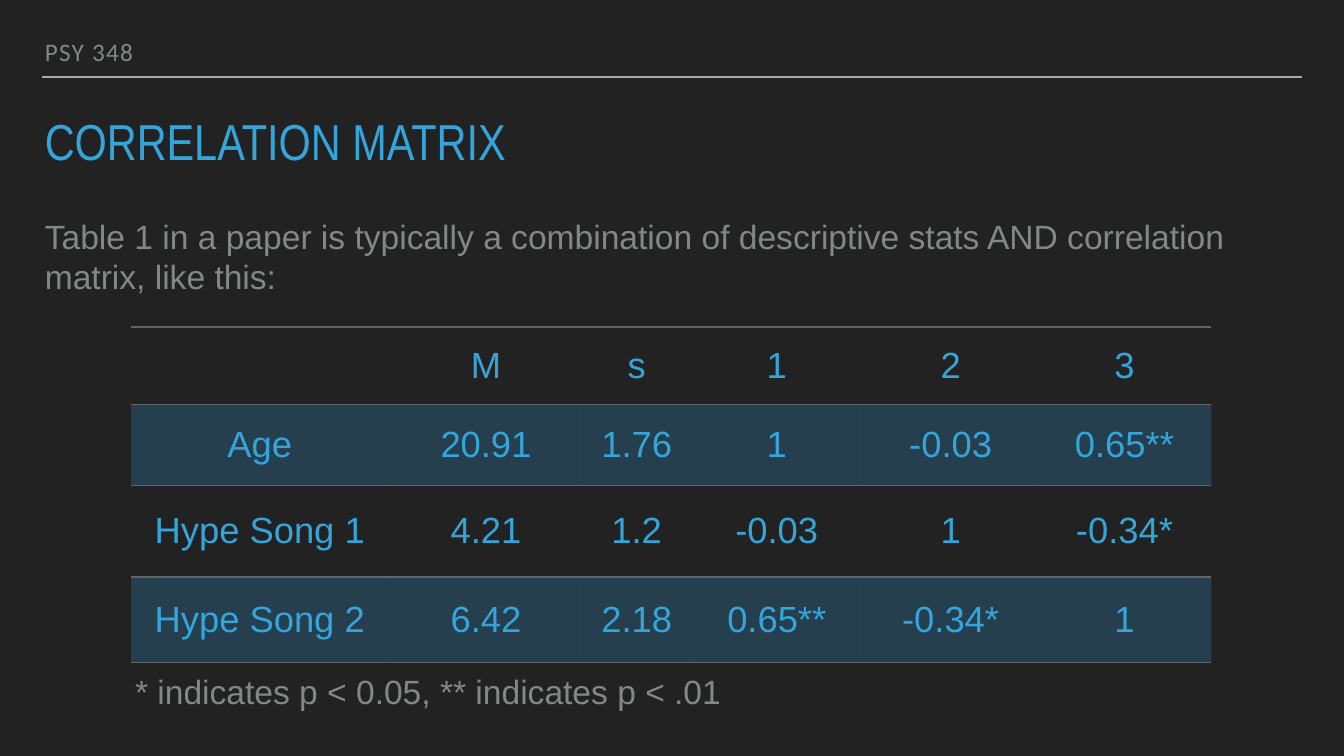
import dataclasses

import lxml.etree
import pptx
import pptx.dml.color
import pptx.enum.shapes
import pptx.enum.text
import pptx.oxml.ns
import pptx.slide
import pptx.table
import pptx.text.text
import pptx.util
from pptx.util import Inches


@dataclasses.dataclass(frozen=True)
class TextStyle:
    font: str
    size: float
    color: str
    line_spacing: float = 1.0
    tracking: float = 0


@dataclasses.dataclass(frozen=True)
class Theme:
    background: str = "222222"
    header_rule: str = "A6AAA9"
    table_rule: str = "5F6568"
    band: str = "2E87BB"
    band_opacity: int = 29
    rule_width: float = 2
    inset: float = 0.06
    header: TextStyle = TextStyle("Calibri", 36, "838787", 0.8, 1.8)
    title: TextStyle = TextStyle("Arial Narrow", 72.2, "34A5DA", 0.8)
    body: TextStyle = TextStyle("Arial", 48, "838787")
    cell: TextStyle = TextStyle("Arial", 52, "34A5DA")


@dataclasses.dataclass(frozen=True)
class TextBlock:
    text: str
    left: float
    top: float
    width: float
    height: float
    style: TextStyle
    anchor: pptx.enum.text.MSO_ANCHOR = pptx.enum.text.MSO_ANCHOR.TOP


THEME = Theme()
MARGIN = 0.83
TABLE_LEFT, TABLE_TOP = 2.6, 6.49
COLUMN_WIDTHS = (5.11, 3.87, 2.11, 3.45, 3.45, 3.45)
ROW_HEIGHTS = (1.54, 1.6, 1.82, 1.7)
CORRELATIONS = (
    ("", "M", "s", "1", "2", "3"),
    ("Age", "20.91", "1.76", "1", "-0.03", "0.65**"),
    ("Hype Song 1", "4.21", "1.2", "-0.03", "1", "-0.34*"),
    ("Hype Song 2", "6.42", "2.18", "0.65**", "-0.34*", "1"),
)
TEXT_BLOCKS = (
    TextBlock("PSY 348", MARGIN, 0.69, 22.92, 0.69, THEME.header,
              pptx.enum.text.MSO_ANCHOR.BOTTOM),
    TextBlock("CORRELATION MATRIX", MARGIN, 2.36, 25, 1.11, THEME.title),
    TextBlock("Table 1 in a paper is typically a combination of descriptive stats "
              "AND correlation matrix, like this:", MARGIN, 4.22, 25, 2, THEME.body),
    TextBlock("* indicates p < 0.05, ** indicates p < .01", 2.62, 13.25, 22, 1, THEME.body),
)


def rgb(value: str) -> pptx.dml.color.RGBColor:
    return pptx.dml.color.RGBColor.from_string(value)


def add_run(paragraph: pptx.text.text._Paragraph, text: str, style: TextStyle) -> None:
    paragraph.line_spacing = style.line_spacing
    run = paragraph.add_run()
    run.text = text
    run.font.name = style.font
    run.font.size = pptx.util.Pt(style.size)
    run.font.color.rgb = rgb(style.color)
    if style.tracking:
        run._r.get_or_add_rPr().set("spc", str(round(style.tracking * 100)))


def set_insets(container: pptx.text.text.TextFrame | pptx.table._Cell) -> None:
    for side in ("left", "top", "right", "bottom"):
        setattr(container, f"margin_{side}", Inches(THEME.inset))


def add_text_block(slide: pptx.slide.Slide, block: TextBlock) -> None:
    shape = slide.shapes.add_textbox(Inches(block.left), Inches(block.top),
                                     Inches(block.width), Inches(block.height))
    frame = shape.text_frame
    frame.word_wrap = True
    frame.vertical_anchor = block.anchor
    set_insets(frame)
    add_run(frame.paragraphs[0], block.text, block.style)


def add_header_rule(slide: pptx.slide.Slide) -> None:
    rule = slide.shapes.add_connector(pptx.enum.shapes.MSO_CONNECTOR.STRAIGHT, Inches(MARGIN),
                                      Inches(1.53), Inches(25.83), Inches(1.53))
    rule.line.color.rgb = rgb(THEME.header_rule)
    rule.line.width = pptx.util.Pt(THEME.rule_width)
    lxml.etree.SubElement(rule._element.spPr, pptx.oxml.ns.qn("a:effectLst"))


def set_cell_borders(cell: pptx.table._Cell) -> None:
    properties = cell._tc.get_or_add_tcPr()
    for position, side in enumerate(("lnL", "lnR", "lnT", "lnB")):
        border = lxml.etree.Element(pptx.oxml.ns.qn(f"a:{side}"))
        if side in ("lnT", "lnB"):
            border.set("w", str(pptx.util.Pt(THEME.rule_width)))
            fill = lxml.etree.SubElement(border, pptx.oxml.ns.qn("a:solidFill"))
            lxml.etree.SubElement(fill, pptx.oxml.ns.qn("a:srgbClr"), val=THEME.table_rule)
        else:
            border.set("w", "0")
            lxml.etree.SubElement(border, pptx.oxml.ns.qn("a:noFill"))
        properties.insert(position, border)


def set_cell_fill(cell: pptx.table._Cell, banded: bool) -> None:
    if not banded:
        cell.fill.background()
        return
    cell.fill.solid()
    cell.fill.fore_color.rgb = rgb(THEME.band)
    color = cell._tc.tcPr.find(".//" + pptx.oxml.ns.qn("a:srgbClr"))
    lxml.etree.SubElement(color, pptx.oxml.ns.qn("a:alpha"), val=str(THEME.band_opacity * 1000))


def add_correlation_table(slide: pptx.slide.Slide) -> None:
    table = slide.shapes.add_table(
        len(ROW_HEIGHTS), len(COLUMN_WIDTHS), Inches(TABLE_LEFT), Inches(TABLE_TOP),
        Inches(sum(COLUMN_WIDTHS)), Inches(sum(ROW_HEIGHTS))).table
    table.first_row = False
    table.horz_banding = False
    for column, width in zip(table.columns, COLUMN_WIDTHS):
        column.width = Inches(width)
    for row_index, (row, height) in enumerate(zip(table.rows, ROW_HEIGHTS)):
        row.height = Inches(height)
        for cell, text in zip(row.cells, CORRELATIONS[row_index]):
            set_insets(cell)
            cell.vertical_anchor = pptx.enum.text.MSO_ANCHOR.MIDDLE
            set_cell_fill(cell, banded=row_index % 2 == 1)
            set_cell_borders(cell)
            if text:
                paragraph = cell.text_frame.paragraphs[0]
                paragraph.alignment = pptx.enum.text.PP_ALIGN.CENTER
                add_run(paragraph, text, THEME.cell)


def main() -> None:
    presentation = pptx.Presentation()
    presentation.slide_width = Inches(26.67)
    presentation.slide_height = Inches(15)
    slide = presentation.slides.add_slide(presentation.slide_layouts[6])
    slide.background.fill.solid()
    slide.background.fill.fore_color.rgb = rgb(THEME.background)
    add_header_rule(slide)
    for block in TEXT_BLOCKS:
        add_text_block(slide, block)
    add_correlation_table(slide)
    presentation.save("out.pptx")


if __name__ == "__main__":
    main()
